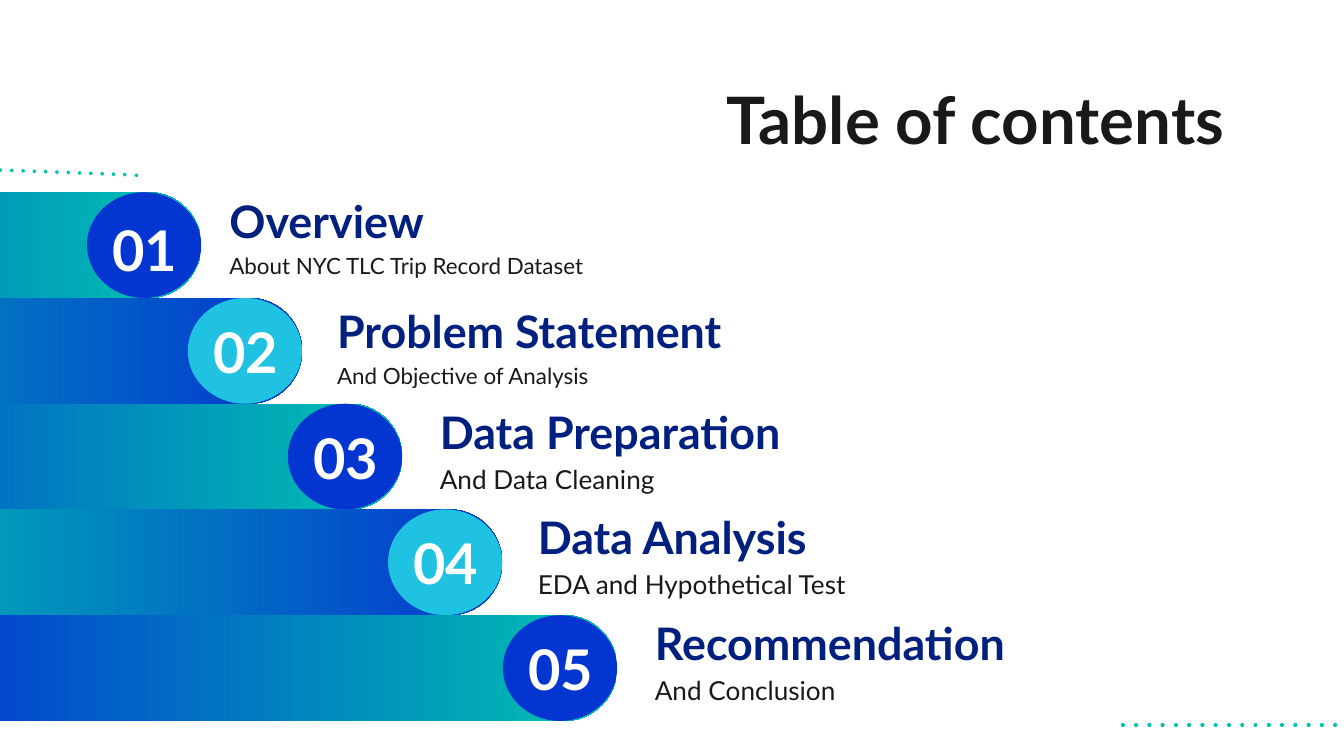
"""Build the table of contents slide with five stepped bars."""
from math import cos, pi, sin, sqrt

from pptx import Presentation
from pptx.dml.color import RGBColor
from pptx.enum.shapes import MSO_SHAPE
from pptx.enum.text import MSO_ANCHOR, PP_ALIGN
from pptx.util import Pt

COLORS = {
    "blue": "0336D0", "teal": "00C3B1", "cyan": "1FC2E1",
    "navy": "002080", "ink": "191919", "white": "FFFFFF",
}


def add_text(text, x, y, w, h, size, color="ink", bold=False,
             align=PP_ALIGN.LEFT, anchor=MSO_ANCHOR.TOP):
    tf = s.shapes.add_textbox(Pt(x), Pt(y), Pt(w), Pt(h)).text_frame
    tf.word_wrap = True
    tf.vertical_anchor = anchor
    tf.margin_left = tf.margin_right = tf.margin_top = tf.margin_bottom = Pt(7.2)
    p = tf.paragraphs[0]
    p.alignment = align
    r = p.add_run()
    r.text = text
    r.font.name = "Lato"
    r.font.size = Pt(size)
    r.font.bold = bold
    r.font.color.rgb = RGBColor.from_string(COLORS[color])


def paint(sp, *colors):
    sp.shadow.inherit = False
    sp.line.fill.background()
    if len(colors) == 1:
        sp.fill.solid()
        sp.fill.fore_color.rgb = RGBColor.from_string(COLORS[colors[0]])
    else:
        sp.fill.gradient()
        sp.fill.gradient_angle = 0
        for stop, color in zip(sp.fill.gradient_stops, colors):
            stop.color.rgb = RGBColor.from_string(COLORS[color])


prs = Presentation()
prs.slide_width, prs.slide_height = Pt(720), Pt(405)
s = prs.slides.add_slide(prs.slide_layouts[6])

DOTS, SIDES = 15, 12
dot_rows = [(658.4, 388.4, 7.11, 2.2, 315), (24.5, 92, 6.06, 1.9, 317.1)]
for cx, cy, gap, size, rotation in dot_rows:
    fb = None
    for i in range(DOTS):
        shift = (i - DOTS // 2) * gap / sqrt(2)
        ring = [(Pt(cx + shift + size / 2 * cos(2 * pi * k / SIDES)),
                 Pt(cy + shift + size / 2 * sin(2 * pi * k / SIDES)))
                for k in range(SIDES)]
        if fb is None:
            fb = s.shapes.build_freeform(*ring[0])
        else:
            fb.move_to(*ring[0])
        fb.add_line_segments(ring[1:], close=True)
    row = fb.convert_to_shape()
    row.rotation = rotation
    paint(row, "teal")

for cx, cy, size in [(601.6, 388.4, 2.2), (715.3, 388.4, 2.2), (73.1, 93.9, 1.9)]:
    dot = s.shapes.add_shape(MSO_SHAPE.OVAL, Pt(cx - size / 2), Pt(cy - size / 2),
                             Pt(size), Pt(size))
    paint(dot, "teal")

add_text("Table of contents", 56, 35.3, 607, 45.4, 35, bold=True,
         align=PP_ALIGN.RIGHT)

BAR_W, BAR_H, BAR_TOP, CIRCLE_W = 381.6, 56.65, 103, 61.2
rows = [
    ("Overview", "About NYC TLC Trip Record Dataset", 12, 107.8, 16.2, 115.8, 113.9),
    ("Problem Statement", "And Objective of Analysis", 12, 161.8, 14, 173.5, 172.7),
    ("Data Preparation", "And Data Cleaning", 14, 215.4, 14, 228.5, 227),
    ("Data Analysis", "EDA and Hypothetical Test", 14, 269.1, 13.8, 281, 283.2),
    ("Recommendation", "And Conclusion", 14, 330.6, 14, 343.7, 340),
]
for i, (head, sub, sub_size, right, num_dy, text_x, head_y) in enumerate(rows):
    top = BAR_TOP + i * BAR_H
    bar = s.shapes.add_shape(MSO_SHAPE.ROUNDED_RECTANGLE, Pt(right - BAR_W), Pt(top),
                             Pt(BAR_W), Pt(BAR_H))
    bar.adjustments[0] = 0.5
    paint(bar, *(("teal", "blue") if i % 2 else ("blue", "teal")))
    circle = s.shapes.add_shape(MSO_SHAPE.OVAL, Pt(right - CIRCLE_W), Pt(top),
                                Pt(CIRCLE_W), Pt(BAR_H))
    paint(circle, "cyan" if i % 2 else "blue")
    add_text(f"{i + 1:02}", right - 60.5, top + num_dy, 60.5, 28.8, 30, "white",
             bold=True, align=PP_ALIGN.CENTER, anchor=MSO_ANCHOR.MIDDLE)
    add_text(head, text_x, head_y, 237, 26, 24, "navy", bold=True,
             anchor=MSO_ANCHOR.BOTTOM)
    add_text(sub, text_x, head_y + 14.1, 300, 31.7, sub_size)

prs.save("out.pptx")
